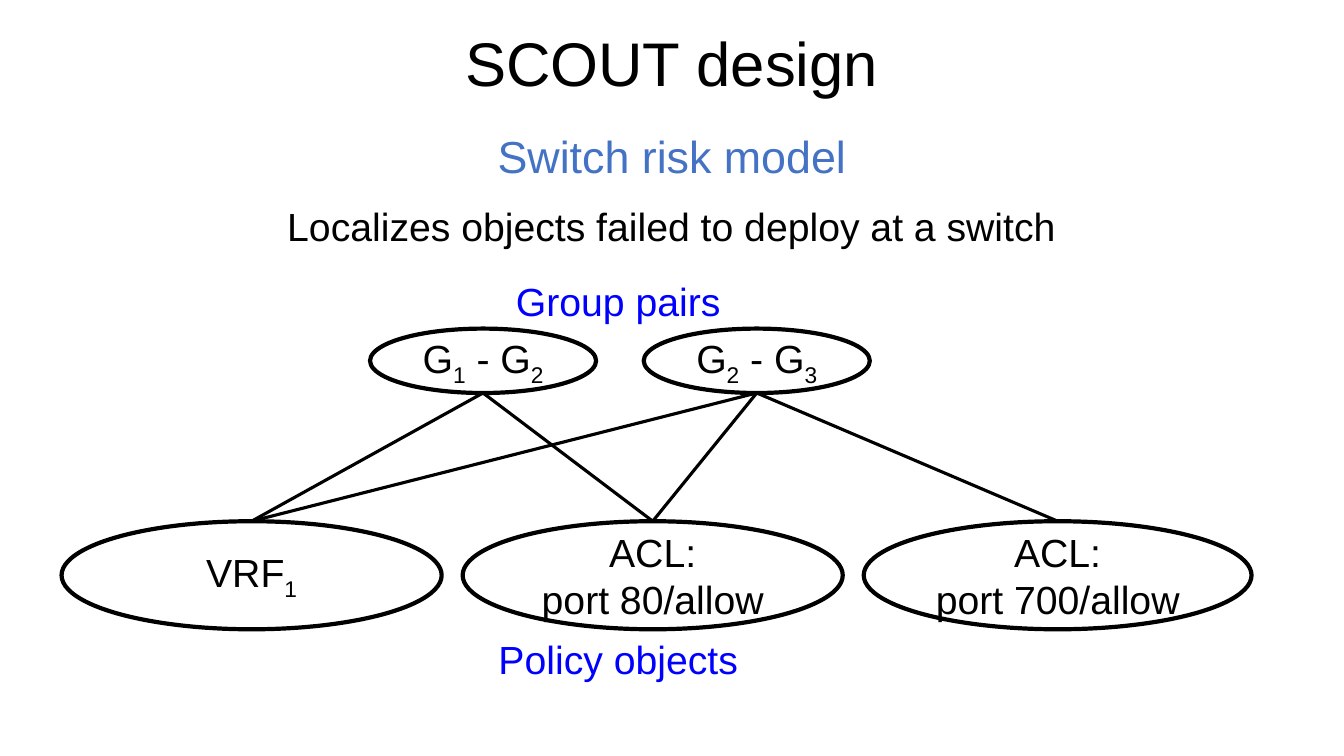
from lxml import etree
from pptx import Presentation
from pptx.dml.color import RGBColor
from pptx.enum import shapes, text
from pptx.oxml import ns
from pptx.util import Pt

BLACK = RGBColor(0x00, 0x00, 0x00)
HEADING_BLUE = RGBColor(0x44, 0x72, 0xC4)
LABEL_BLUE = RGBColor(0x00, 0x00, 0xFF)
CENTER, LEFT = text.PP_ALIGN.CENTER, text.PP_ALIGN.LEFT
TOP, MIDDLE = text.MSO_ANCHOR.TOP, text.MSO_ANCHOR.MIDDLE
FIT, FIXED = text.MSO_AUTO_SIZE.SHAPE_TO_FIT_TEXT, text.MSO_AUTO_SIZE.NONE

# Content: text, box (left, top, width, height), size, colour,
# paragraph format, frame format
HEADING = {"alignment": CENTER, "line_spacing": 0.9}
LABEL = {"alignment": LEFT}
LABEL_FRAME = {"word_wrap": False, "auto_size": FIT, "vertical_anchor": TOP}
TEXTS = [
    ("SCOUT design", (66, 14.4, 828, 66), 44, BLACK, HEADING,
     {"word_wrap": True, "auto_size": FIXED, "vertical_anchor": MIDDLE}),
    ("Switch risk model", (284.5, 93, 391, 36), 32, HEADING_BLUE, HEADING,
     {"word_wrap": True, "auto_size": FIXED, "vertical_anchor": TOP}),
    ("Localizes objects failed to deploy at a switch", (32.5, 141, 894, 41),
     28, BLACK, {"alignment": CENTER},
     {"word_wrap": True, "auto_size": FIT, "vertical_anchor": TOP}),
    ("Group pairs", (361.5, 194.5, 163, 41), 28, LABEL_BLUE, LABEL, LABEL_FRAME),
    ("Policy objects", (349, 450, 188, 41), 28, LABEL_BLUE, LABEL, LABEL_FRAME),
]

# Node rows: top, height, then name -> (left, width, lines);
# each line alternates normal text and subscript
PAIR_ROW = (234.7, 46, {
    "pair 1-2": (264.3, 161.5, [["G", "1", " - G", "2"]]),
    "pair 2-3": (459.8, 161.5, [["G", "2", " - G", "3"]]),
})
OBJECT_ROW = (372.3, 77.2, {
    "vrf": (44, 271.5, [["VRF", "1"]]),
    "acl 80": (330.5, 271.5, [["ACL:"], ["port 80/allow"]]),
    "acl 700": (617, 277, [["ACL:"], ["port 700/allow"]]),
})
LINKS = {"pair 1-2": ["vrf", "acl 80"], "pair 2-3": ["vrf", "acl 80", "acl 700"]}


def apply(target, formats):
    for name, value in formats.items():
        setattr(target, name, value)


def write_line(paragraph, pieces, size, color, formats):
    apply(paragraph, formats)
    for index, piece in enumerate(pieces):
        run = paragraph.add_run()
        run.text = piece
        apply(run.font, {"name": "Arial", "size": Pt(size)})
        run.font.color.rgb = color
        if index % 2:
            run._r.get_or_add_rPr().set("baseline", "-25000")


def add_node(slide, box, lines):
    ellipse = slide.shapes.add_shape(shapes.MSO_SHAPE.OVAL, *map(Pt, box))
    ellipse.shadow.inherit = False
    ellipse.fill.background()
    ellipse.line.color.rgb = BLACK
    ellipse.line.width = Pt(3)
    frame = ellipse.text_frame
    apply(frame, {"word_wrap": True, "vertical_anchor": MIDDLE})
    for index, pieces in enumerate(lines):
        paragraph = frame.add_paragraph() if index else frame.paragraphs[0]
        write_line(paragraph, pieces, 28, BLACK, {"alignment": CENTER})
    return ellipse


def add_link(slide, pair, policy_object):
    x, y = pair.left + pair.width // 2, pair.top + pair.height
    link = slide.shapes.add_connector(shapes.MSO_CONNECTOR.STRAIGHT, x, y, x, y)
    link.end_connect(policy_object, 0)
    link.line.color.rgb = BLACK
    link.line.width = Pt(2.25)
    etree.SubElement(link._element.spPr, ns.qn("a:effectLst"))


def main():
    presentation = Presentation()
    apply(presentation, {"slide_width": Pt(960), "slide_height": Pt(540)})
    slide = presentation.slides.add_slide(presentation.slide_layouts[6])

    # Headings and labels
    for words, box, size, color, formats, frame_formats in TEXTS:
        frame = slide.shapes.add_textbox(*map(Pt, box)).text_frame
        apply(frame, frame_formats)
        write_line(frame.paragraphs[0], [words], size, color, formats)

    # Group pairs above, policy objects below
    nodes = {}
    for top, height, row in (PAIR_ROW, OBJECT_ROW):
        for name, (left, width, lines) in row.items():
            nodes[name] = add_node(slide, (left, top, width, height), lines)

    # Links from each pair to the objects it depends on
    for pair, policy_objects in LINKS.items():
        for policy_object in policy_objects:
            add_link(slide, nodes[pair], nodes[policy_object])

    presentation.save("out.pptx")


if __name__ == "__main__":
    main()
